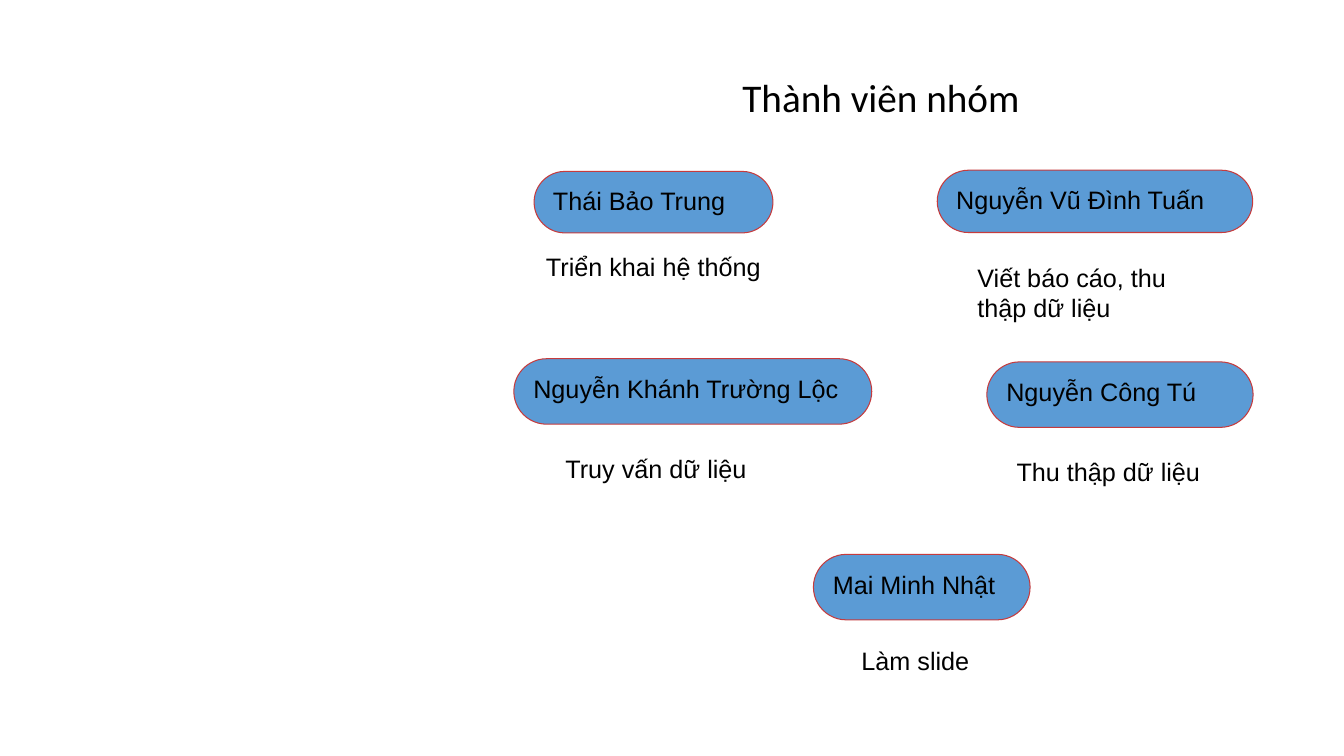
from pptx import Presentation
from pptx.dml.color import RGBColor
from pptx.enum.shapes import MSO_SHAPE
from pptx.enum.text import MSO_ANCHOR, MSO_AUTO_SIZE, PP_ALIGN
from pptx.util import Cm, Pt

PILL = MSO_SHAPE.ROUNDED_RECTANGLE
TOP = MSO_ANCHOR.TOP
LEFT = PP_ALIGN.LEFT
NO_FIT = MSO_AUTO_SIZE.NONE
GROW = MSO_AUTO_SIZE.SHAPE_TO_FIT_TEXT

BLACK = RGBColor(0x00, 0x00, 0x00)
WHITE = RGBColor(0xFF, 0xFF, 0xFF)
BLUE = RGBColor(0x5B, 0x9B, 0xD5)
RED = RGBColor(0xC6, 0x3B, 0x3D)

HEADING = "Thành viên nhóm"
HEADING_BOX = (12.95, 1.73, 20.52, 1.6)
HEADING_INDENT = 5.76

MEMBERS = [
    ("Thái Bảo Trung", (13.46, 4.32, 6.02, 1.55),
     "Triển khai hệ thống", (13.51, 6.22, 6.02, 1.02)),
    ("Nguyễn Vũ Đình Tuấn", (23.62, 4.29, 7.95, 1.57),
     "Viết báo cáo, thu thập dữ liệu", (24.38, 6.48, 6.02, 1.8)),
    ("Nguyễn Khánh Trường Lộc", (12.95, 9.04, 9.02, 1.65),
     "Truy vấn dữ liệu", (14, 11.3, 5.46, 1.02)),
    ("Nguyễn Công Tú", (24.87, 9.12, 6.71, 1.65),
     "Thu thập dữ liệu", (25.37, 11.38, 5.46, 1.02)),
    ("Mai Minh Nhật", (20.5, 13.97, 5.46, 1.65),
     "Làm slide", (21.46, 16.13, 4.34, 1.02)),
]


def in_cm(box):
    return [Cm(length) for length in box]


def write(shape, text, font="Arial", size=18, indent=0.25, fit=NO_FIT):
    frame = shape.text_frame
    frame.word_wrap = True
    frame.auto_size = fit
    frame.vertical_anchor = TOP
    frame.margin_left = Cm(indent)
    paragraph = frame.paragraphs[0]
    paragraph.alignment = LEFT
    run = paragraph.add_run()
    run.text = text
    run.font.name = font
    run.font.size = Pt(size)
    run.font.color.rgb = BLACK


def main():
    deck = Presentation()
    deck.slide_width, deck.slide_height = Cm(33.87), Cm(19.05)
    slide = deck.slides.add_slide(deck.slide_layouts[5])
    slide.background.fill.solid()
    slide.background.fill.fore_color.rgb = WHITE

    heading = slide.shapes.title
    heading.left, heading.top, heading.width, heading.height = in_cm(HEADING_BOX)
    write(heading, HEADING, font="Calibri", size=28, indent=HEADING_INDENT)

    for name, name_box, task, task_box in MEMBERS:
        member = slide.shapes.add_shape(PILL, *in_cm(name_box))
        member.adjustments[0] = 0.5
        member.shadow.inherit = False
        member.fill.solid()
        member.fill.fore_color.rgb = BLUE
        member.line.color.rgb = RED
        member.line.width = Pt(0)
        write(member, name)
        write(slide.shapes.add_textbox(*in_cm(task_box)), task, fit=GROW)

    deck.save("out.pptx")


if __name__ == "__main__":
    main()
